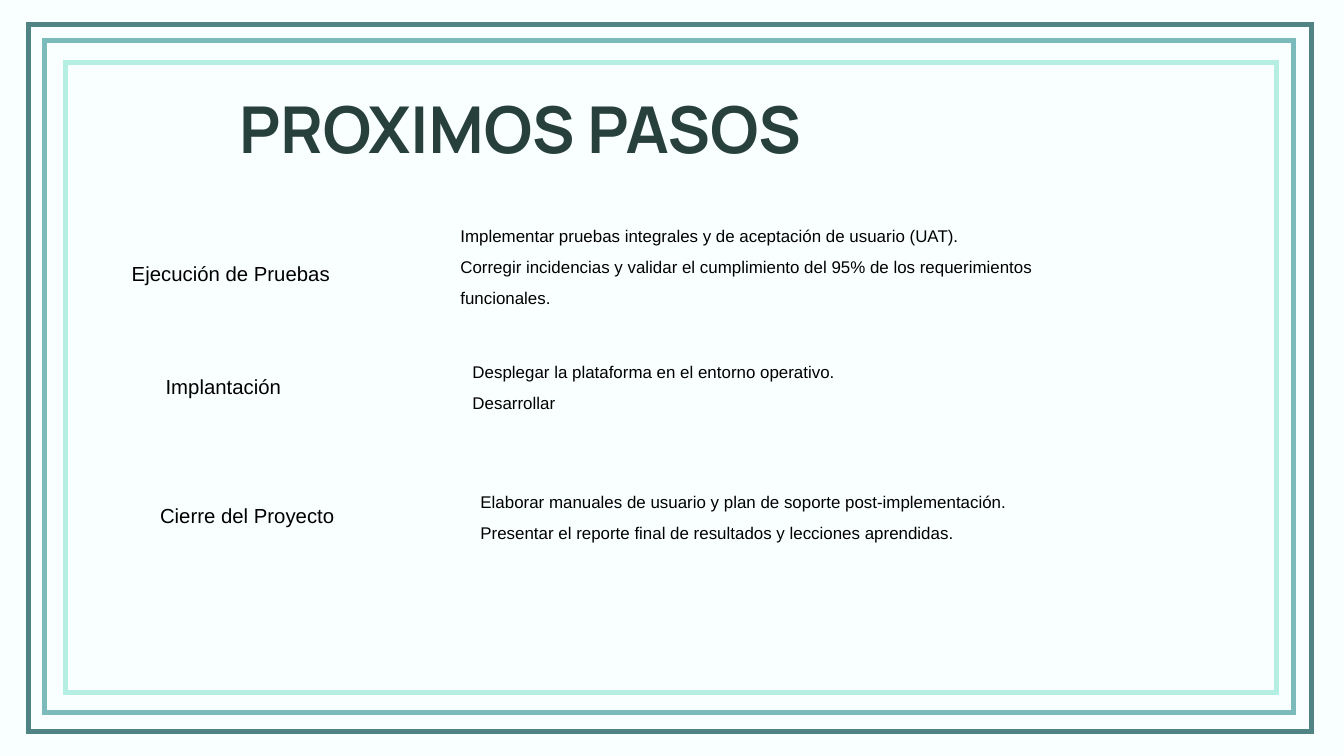
from lxml.etree import SubElement
from pptx import Presentation
from pptx.dml.color import RGBColor
from pptx.enum.shapes import MSO_SHAPE
from pptx.enum.text import MSO_AUTO_SIZE
from pptx.oxml.ns import qn
from pptx.util import Cm, Pt

BACKGROUND = RGBColor(0xF9, 0xFF, 0xFE)
DARK_TEAL = RGBColor(0x50, 0x84, 0x84)
TEAL = RGBColor(0x7C, 0xBB, 0xBB)
MINT = RGBColor(0xB5, 0xEF, 0xE3)
TITLE_GREEN = RGBColor(0x27, 0x40, 0x3B)
BLACK = RGBColor(0, 0, 0)

# Content: places are (left, top, width, height) in cm
FRAMES = [
    (DARK_TEAL, (1.08, 0.92, 48.48, 26.73)),
    (TEAL, (1.69, 1.53, 47.21, 25.41)),
    (MINT, (2.49, 2.36, 45.75, 23.83)),
]
TITLE = "PROXIMOS PASOS"
STEPS = [
    {
        "name": "Ejecución de Pruebas",
        "name_at": (4.98, 9.37),
        "tasks": [
            "Implementar pruebas integrales y de aceptación de usuario (UAT).",
            "Corregir incidencias y validar el cumplimiento del 95% "
            "de los requerimientos funcionales.",
        ],
        "tasks_at": (17.4, 8.1),
    },
    {
        "name": "Implantación",
        "name_at": (6.26, 13.64),
        "tasks": [
            "Desplegar la plataforma en el entorno operativo.",
            "Desarrollar",
        ],
        "tasks_at": (17.86, 13.26),
    },
    {
        "name": "Cierre del Proyecto",
        "name_at": (6.05, 18.52),
        "tasks": [
            "Elaborar manuales de usuario y plan de soporte post-implementación.",
            "Presentar el reporte final de resultados y lecciones aprendidas.",
        ],
        "tasks_at": (18.16, 18.16),
    },
]
NAME_SIZE = (11.8, 1.1)
TASKS_SIZE = (24.36, 3.02)


def add_frame(page, color, place):
    frame = page.shapes.add_shape(MSO_SHAPE.RECTANGLE, *map(Cm, place))
    frame.shadow.inherit = False
    frame.fill.background()
    frame.line.color.rgb = color
    frame.line.width = Pt(5.25)
    # Square corners
    SubElement(frame.line._get_or_add_ln(), qn("a:miter"), lim="800000")


def add_text(page, lines, place, size, spacing=1.54, font="Arial",
             color=BLACK, bold=False):
    box = page.shapes.add_textbox(*map(Cm, place))
    frame = box.text_frame
    frame.margin_left = frame.margin_right = 0
    frame.margin_top = frame.margin_bottom = 0
    frame.word_wrap = True
    frame.auto_size = MSO_AUTO_SIZE.SHAPE_TO_FIT_TEXT
    frame.text = "\n".join(lines)
    for para in frame.paragraphs:
        para.line_spacing = spacing
        for span in para.runs:
            span.font.name = font
            span.font.size = Pt(size)
            span.font.bold = bold
            span.font.color.rgb = color


deck = Presentation()
deck.slide_width, deck.slide_height = Cm(50.8), Cm(28.575)
page = deck.slides.add_slide(deck.slide_layouts[6])
page.background.fill.solid()
page.background.fill.fore_color.rgb = BACKGROUND

# Nested frames
for color, place in FRAMES:
    add_frame(page, color, place)

# Title
add_text(page, [TITLE], (9.04, 2.97, 32.72, 2.82), 69.2, spacing=1.14,
         font="Manrope", color=TITLE_GREEN, bold=True)

# Steps: name on the left, tasks on the right
for step in STEPS:
    add_text(page, step["tasks"], step["tasks_at"] + TASKS_SIZE, 18.1)
    add_text(page, [step["name"]], step["name_at"] + NAME_SIZE, 21.8)

deck.save("out.pptx")
